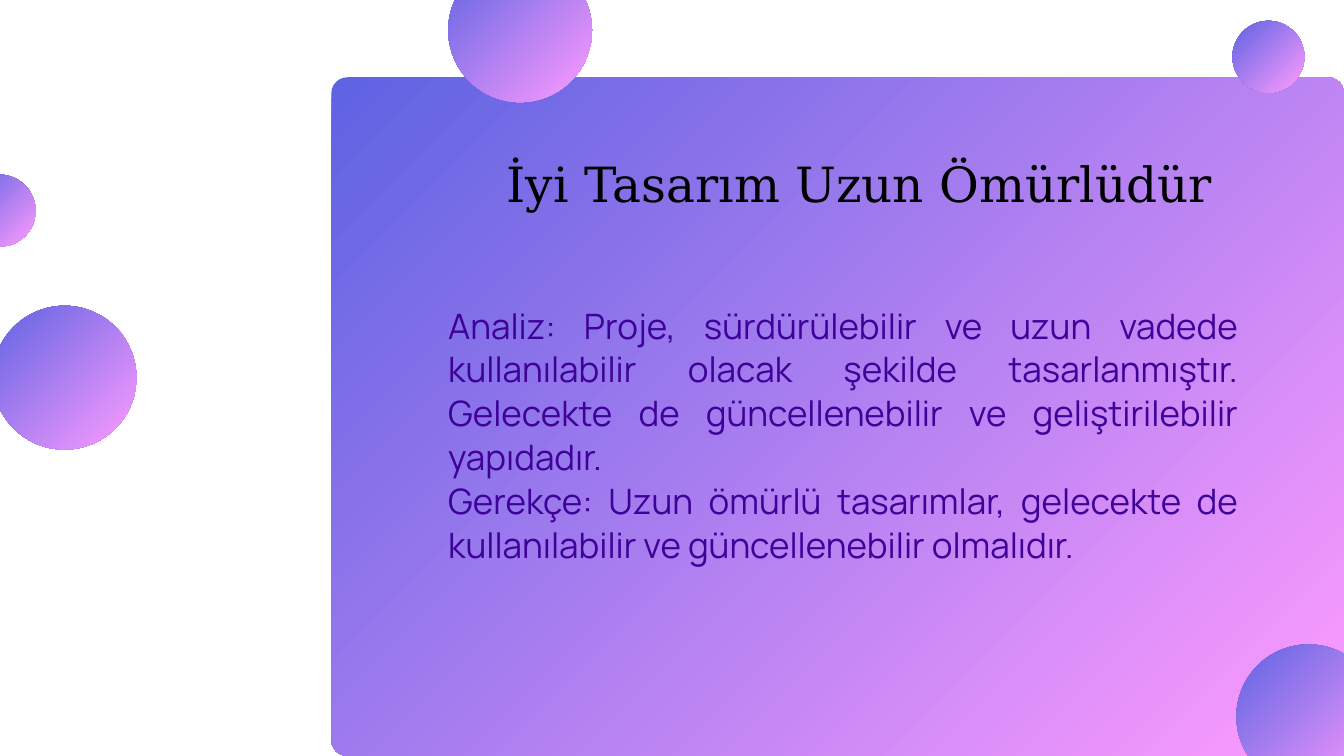
from pptx import Presentation
from pptx.dml.color import RGBColor
from pptx.enum.shapes import MSO_SHAPE as Shape
from pptx.enum.text import MSO_ANCHOR as Anchor, MSO_AUTO_SIZE as AutoSize, PP_ALIGN as Align
from pptx.util import Inches, Pt

BLUE = RGBColor(0x5E, 0x63, 0xE2)
PINK = RGBColor(0xFF, 0x9C, 0xFF)
BLACK = RGBColor(0, 0, 0)
PURPLE = RGBColor(0x3E, 0x02, 0x99)

CORNER = 0.24
LARGE, SMALL = 2.14, 1.07
BUBBLES = [
    (-0.11, 4.55, LARGE),
    (18.4, 9.59, LARGE),
    (6.67, -0.62, LARGE),
    (-0.54, 2.6, SMALL),
    (18.34, 0.31, SMALL),
]

TITLE = ["İyi Tasarım Uzun Ömürlüdür"]
BODY = [
    "Analiz: Proje, sürdürülebilir ve uzun vadede kullanılabilir olacak şekilde "
    "tasarlanmıştır. Gelecekte de güncellenebilir ve geliştirilebilir yapıdadır.",
    "Gerekçe: Uzun ömürlü tasarımlar, gelecekte de kullanılabilir ve "
    "güncellenebilir olmalıdır.",
]
TITLE_FONT = {"name": "DejaVu Serif", "size": Pt(52)}
BODY_FONT = {"name": "Manrope", "size": Pt(37.5)}
TITLE_PARA = {"alignment": Align.CENTER, "line_spacing": Pt(72.8)}
BODY_PARA = {"alignment": Align.JUSTIFY, "line_spacing": Pt(46.9)}
FRAME = {
    "margin_left": 0,
    "margin_top": 0,
    "margin_right": 0,
    "margin_bottom": 0,
    "word_wrap": True,
    "auto_size": AutoSize.SHAPE_TO_FIT_TEXT,
    "vertical_anchor": Anchor.TOP,
}


def apply_format(target, values):
    """Set every attribute in values on the target."""
    for name, value in values.items():
        setattr(target, name, value)


def add_gradient_shape(page, kind, box):
    """Add a borderless shape shaded diagonally from blue to pink."""
    shape = page.shapes.add_shape(kind, *map(Inches, box))
    shape.shadow.inherit = False
    shape.line.fill.background()
    shape.fill.gradient()
    shape.fill.gradient_angle = 315
    for stop, color in zip(shape.fill.gradient_stops, (BLUE, PINK)):
        stop.color.rgb = color
    return shape


def add_panel(page, box):
    """Add the large rounded panel."""
    panel = add_gradient_shape(page, Shape.ROUNDED_RECTANGLE, box)
    panel.adjustments[0] = CORNER / min(box[2:])


def add_bubbles(page, bubbles):
    """Add circles given as left, top and diameter."""
    for left, top, size in bubbles:
        add_gradient_shape(page, Shape.OVAL, (left, top, size, size))


def add_text(page, box, lines, font, color, layout):
    """Add a text box with one paragraph per line."""
    frame = page.shapes.add_textbox(*map(Inches, box)).text_frame
    apply_format(frame, FRAME)
    frame.text = "\n".join(lines)
    for para in frame.paragraphs:
        apply_format(para, layout)
        for span in para.runs:
            apply_format(span.font, font)
            span.font.color.rgb = color


def main():
    """Build the slide and save the deck."""
    deck = Presentation()
    deck.slide_width, deck.slide_height = Inches(20), Inches(11.25)
    page = deck.slides.add_slide(deck.slide_layouts[6])
    add_panel(page, (4.93, 1.15, 15.07, 10.1))
    add_bubbles(page, BUBBLES)
    add_text(page, (6.67, 2.14, 12.24, 0.94), TITLE, TITLE_FONT, BLACK, TITLE_PARA)
    add_text(page, (6.67, 4.5, 11.77, 4.61), BODY, BODY_FONT, PURPLE, BODY_PARA)
    deck.save("out.pptx")


if __name__ == "__main__":
    main()
